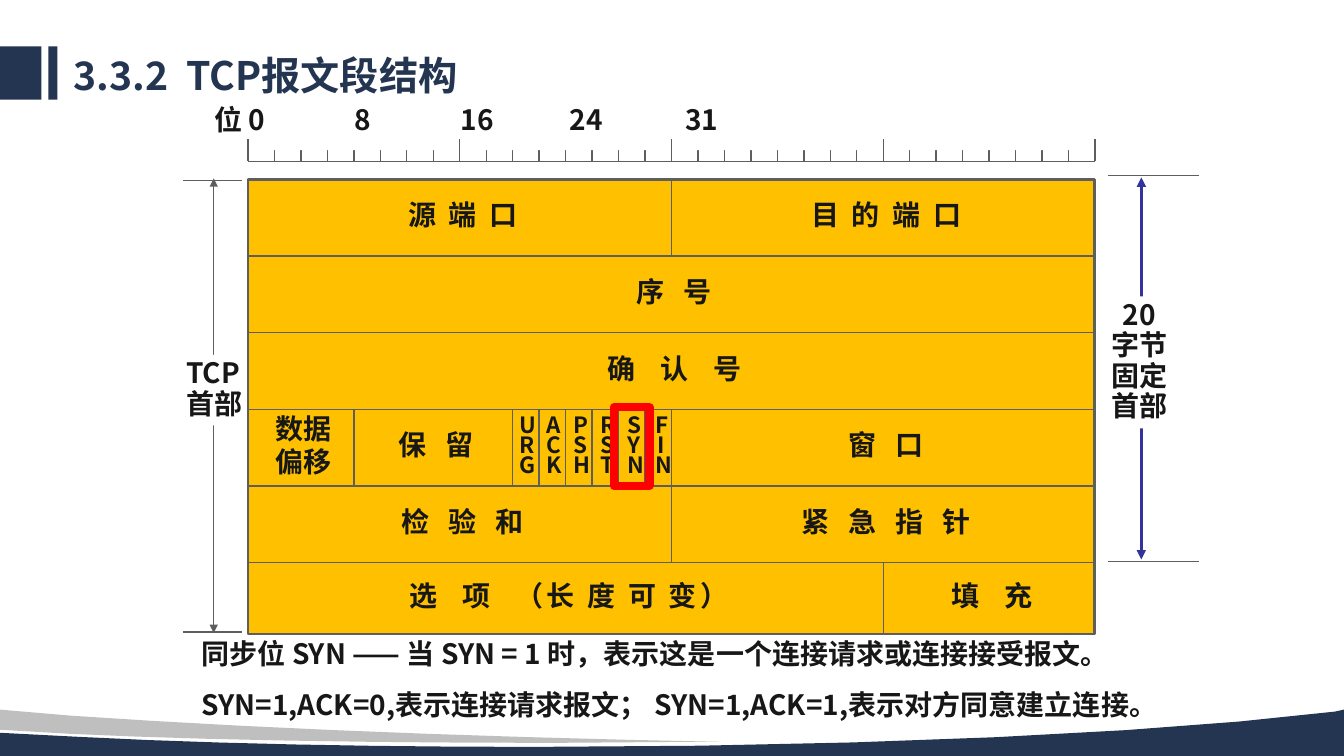
from lxml.etree import SubElement
from pptx import Presentation
from pptx.dml.color import RGBColor
from pptx.enum.shapes import MSO_CONNECTOR, MSO_SHAPE
from pptx.enum.text import MSO_ANCHOR as Anchor, MSO_AUTO_SIZE as AutoSize, PP_ALIGN as Align
from pptx.oxml.ns import qn
from pptx.util import Inches, Pt

NAVY = RGBColor(0x24, 0x35, 0x51)
SILVER = RGBColor(0xBF, 0xBF, 0xBF)
AMBER = RGBColor(0xFF, 0xC0, 0x00)
GREY = RGBColor(0x5E, 0x5E, 0x5E)
INDIGO = RGBColor(0x33, 0x33, 0x99)
INK = RGBColor(0x17, 0x17, 0x17)
WHITE = RGBColor(0xFF, 0xFF, 0xFF)
RED = RGBColor(0xFF, 0x00, 0x00)
BODY_FONT, TITLE_FONT = "Noto Sans CJK JP", "Noto Sans CJK SC"

WIDTH, HEIGHT = 13.33, 7.5
LEFT, TOP, BIT, ROW = 2.46, 1.78, 0.2625, 0.76
BITS, RULER_Y, BOTTOM = 32, 1.6, 6.29
FLAG_ROW, FLAG_START, FLAG_END = 3, 10, 16
FLAGS = ["URG", "ACK", "PSH", "RST", "SYN", "FIN"]

# row, first bit, end bit, wording ("|" parts spans), letter spacing of each span in points
FIELDS = [
    (0, 0, 16, "源 端 口", (2.25,)), (0, 16, 32, "目 的 端 口", (2.25,)),
    (1, 0, 32, "序 号", (4.5,)), (2, 0, 32, "确 认 号", (6.75,)),
    (3, 0, 4, "数据\n偏移", (0,)), (3, 4, 10, "保 留", (4.5,)), (3, 16, 32, "窗 口", (4.5,)),
    (4, 0, 16, "检 验 和", (4.5,)), (4, 16, 32, "紧 急 指 针", (4.5,)),
    (5, 0, 24, "选 项 |（长 度 可 变）", (6.75, 2.25)), (5, 24, 32, "填 充", (6.75,)),
]
DIVIDERS = [(0, 1, 16), (3, 5, 16), (3, 4, 4), (5, 6, 24)]
DIVIDERS += [(FLAG_ROW, FLAG_ROW + 1, bit) for bit in range(FLAG_START, FLAG_END)]


def bit_x(bit):
    return LEFT + bit * BIT


def row_y(row):
    return min(TOP + row * ROW, BOTTOM)


def apply_format(target, values):
    for name, value in values.items():
        setattr(target, name, value)


def write(shape, wording, size=20, color=INK, font=BODY_FONT, align=Align.LEFT,
          spacing=1.0, tracking=(0,), wrap=False, anchor=Anchor.TOP, tabs=()):
    """Fill a shape with one paragraph for each line of the wording."""
    frame = shape.text_frame
    apply_format(frame, {"word_wrap": wrap, "vertical_anchor": anchor,
                         "auto_size": AutoSize.SHAPE_TO_FIT_TEXT})
    for index, line in enumerate(wording.split("\n")):
        para = frame.add_paragraph() if index else frame.paragraphs[0]
        apply_format(para, {"alignment": align, "line_spacing": spacing})
        if tabs:
            tab_list = SubElement(para._p.get_or_add_pPr(), qn("a:tabLst"))
            for stop in tabs:
                SubElement(tab_list, qn("a:tab"), pos=str(Inches(stop)), algn="l")
        for part, points in zip(line.split("|"), tracking):
            span = para.add_run()
            span.text = part
            apply_format(span.font, {"size": Pt(size), "bold": True, "name": font})
            span.font.color.rgb = color
            props = span._r.get_or_add_rPr()
            props.set("lang", "zh-CN")
            if points:
                props.set("spc", str(int(points * 100)))
            SubElement(props, qn("a:ea"), typeface=font)


def add_label(page, wording, x, y, width, height, **style):
    box = page.shapes.add_textbox(*map(Inches, (x, y, width, height)))
    write(box, wording, **style)


def paint(shape, fill=None, line=None, weight=1):
    shape.shadow.inherit = False
    if fill is None:
        shape.fill.background()
    else:
        shape.fill.solid()
        shape.fill.fore_color.rgb = fill
    if line is None:
        shape.line.fill.background()
    else:
        shape.line.color.rgb = line
        shape.line.width = Pt(weight)


def add_block(page, x, y, width, height, kind=MSO_SHAPE.RECTANGLE, **look):
    block = page.shapes.add_shape(kind, *map(Inches, (x, y, width, height)))
    paint(block, **look)
    return block


def add_line(page, x1, y1, x2, y2, color=GREY, weight=1, arrows=False):
    line = page.shapes.add_connector(MSO_CONNECTOR.STRAIGHT, *map(Inches, (x1, y1, x2, y2)))
    line.line.color.rgb = color
    line.line.width = Pt(weight)
    if arrows:
        stroke = line.line._get_or_add_ln()
        for end in ("a:headEnd", "a:tailEnd"):
            SubElement(stroke, qn(end), type="triangle")
    SubElement(line._element.spPr, qn("a:effectLst"))


def curve(start, first, second, end, steps=6):
    """Points along a cubic curve, without its start."""
    points = []
    for step in range(1, steps + 1):
        t = step / steps
        weights = ((1 - t) ** 3, 3 * t * (1 - t) ** 2, 3 * t * t * (1 - t), t ** 3)
        points.append(tuple(sum(w * p[axis] for w, p in zip(weights, (start, first, second, end)))
                            for axis in (0, 1)))
    return points


def add_wave(page, points, color):
    corners = [(Inches(x), Inches(y)) for x, y in points]
    builder = page.shapes.build_freeform(*corners[0])
    builder.add_line_segments(corners[1:], close=True)
    paint(builder.convert_to_shape(), fill=color)


def add_decoration(page):
    for x, width in ((-0.53, 0.94), (0.48, 0.09)):
        bar = add_block(page, x, 0.46, width, 0.53, MSO_SHAPE.ROUNDED_RECTANGLE, fill=NAVY)
        bar.adjustments[0] = 0
    dip = (5.32, 7.41)
    add_wave(page, [(WIDTH, 7.04), (WIDTH, HEIGHT), (0, HEIGHT), (0, 7.27), (0.77, 7.31)]
             + curve((0.77, 7.31), (2.12, 7.38), (3.67, 7.41), dip)
             + curve(dip, (8.62, 7.41), (11.53, 7.27), (13.24, 7.06)), NAVY)
    add_wave(page, [(0, 7.04), (0.7, 7.1)]
             + curve((0.7, 7.1), (2.29, 7.21), (4.17, 7.29), (6.22, 7.34))
             + [(7.15, 7.36), (6.84, 7.36), (5.48, 7.37)]
             + curve((5.48, 7.37), (3.61, 7.37), (1.92, 7.34), (0.69, 7.28))
             + [(0, 7.24)], SILVER)


def add_title(page):
    title = page.shapes.title
    apply_format(title, dict(zip(("left", "top", "width", "height"),
                                 map(Inches, (0.63, 0.51, 9.98, 0.52)))))
    write(title, "3.3.2\tTCP报文段结构", size=28, color=NAVY, font=TITLE_FONT,
          spacing=0.9, wrap=True, anchor=Anchor.MIDDLE, tabs=(1.12,))


def add_extent(page, x, top, bottom, label, label_box, align, color, weight, ticks):
    """Double arrow with its label and two end marks."""
    add_line(page, x, top, x, bottom, color, weight, arrows=True)
    write(add_block(page, *label_box, fill=WHITE), label, align=align, spacing=0.9)
    for y in ticks[2:]:
        add_line(page, ticks[0], y, ticks[1], y)


def add_ruler(page):
    """Scale whose minor ticks are trimmed by a white strip over each byte."""
    add_line(page, LEFT, RULER_Y, bit_x(BITS), RULER_Y)
    for bit in range(BITS + 1):
        add_line(page, bit_x(bit), 1.27 if bit % 8 else 1.38, bit_x(bit), RULER_Y)
    for byte_start in range(0, BITS, 8):
        add_block(page, bit_x(byte_start) + 0.17, 1.16, 1.75, 0.33, fill=WHITE)
    add_label(page, "位 0\t8\t16\t24\t31", 2.03, 0.97, 9.03, 0.43, wrap=True,
              tabs=(1.39, 2.44, 3.52, 4.67))


def add_header_grid(page):
    add_block(page, LEFT, TOP, BITS * BIT, BOTTOM - TOP, fill=AMBER, line=GREY, weight=2)
    for row in range(1, 6):
        add_line(page, LEFT, row_y(row), bit_x(BITS), row_y(row))
    for first, last, bit in DIVIDERS:
        add_line(page, bit_x(bit), row_y(first), bit_x(bit), row_y(last))
    for row, start, end, wording, tracking in FIELDS:
        lines = wording.split("\n")
        width = 0.4 + len(lines[0]) * (0.18 + max(tracking) / 72) + 0.2
        height = 0.1 + 0.33 * len(lines)
        add_label(page, wording, (bit_x(start) + bit_x(end) - width) / 2 + 0.03,
                  (row_y(row) + row_y(row + 1) - height) / 2 - 0.03, width, height,
                  align=Align.CENTER, tracking=tracking)
    for index, flag in enumerate(FLAGS):
        add_label(page, "\n".join(flag), 5.05 + index * 0.27, 4.09, 0.31, 0.7,
                  size=16, spacing=0.75,
                  align=Align.CENTER if flag == "FIN" else Align.LEFT)


def main():
    deck = Presentation()
    deck.slide_width, deck.slide_height = Inches(WIDTH), Inches(HEIGHT)
    page = deck.slides.add_slide(deck.slide_layouts[5])
    add_decoration(page)
    add_title(page)
    add_extent(page, 2.12, 1.77, 6.28, "TCP\n首部", (1.75, 3.52, 0.76, 0.7),
               Align.LEFT, GREY, 1, (1.82, 2.4, 1.79, 6.27))
    add_extent(page, 11.32, 1.76, 5.55, "20\n字节\n固定\n首部", (10.92, 2.94, 0.76, 1.31),
               Align.CENTER, INDIGO, 2.25, (10.99, 11.89, 1.74, 5.57))
    add_ruler(page)
    add_header_grid(page)
    add_label(page, "同步位 SYN —— 当 SYN = 1 时，表示这是一个连接请求或连接接受报文。\n"
              "SYN=1,ACK=0,表示连接请求报文； SYN=1,ACK=1,表示对方同意建立连接。",
              1.9, 6.1, 10.51, 1.11, align=Align.JUSTIFY, spacing=1.5, wrap=True)
    add_block(page, 6.09, 4.04, 0.35, 0.78, line=RED, weight=6)
    deck.save("out.pptx")


if __name__ == "__main__":
    main()
